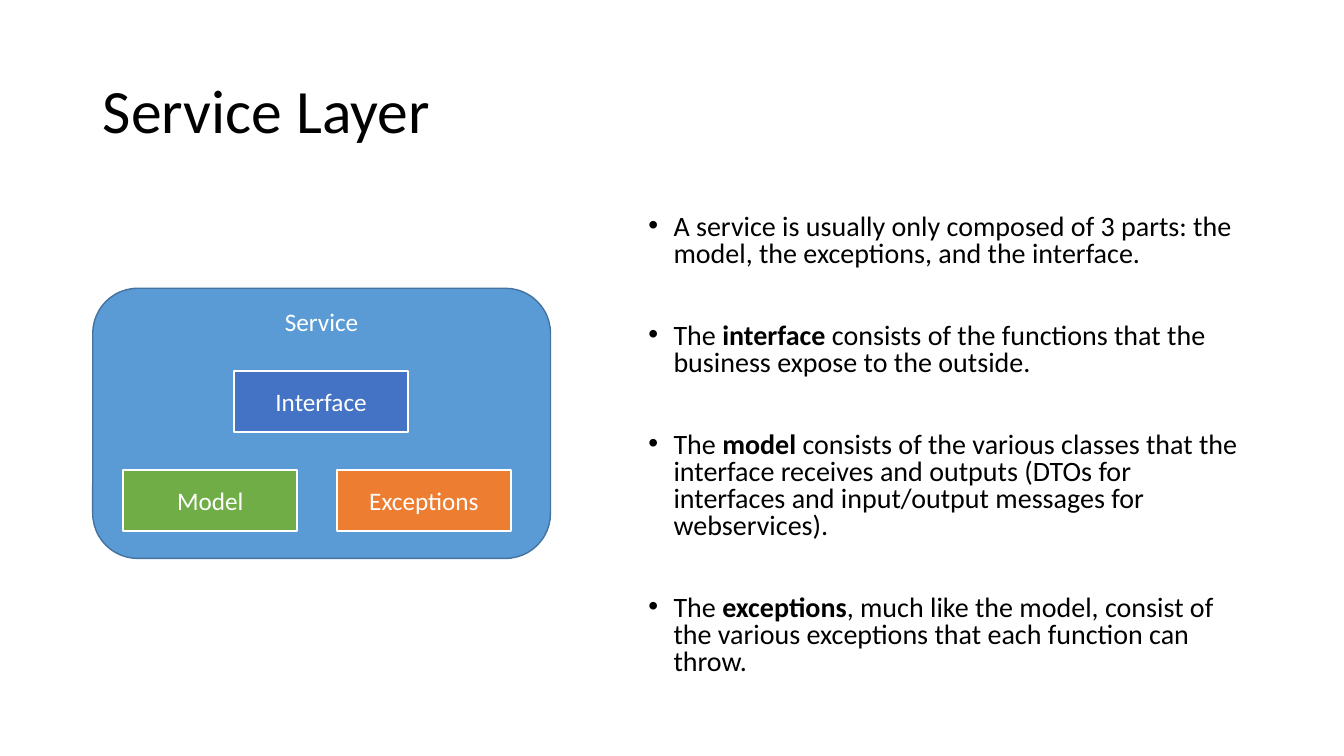
from pptx import Presentation
from pptx.dml.color import RGBColor
from pptx.enum.shapes import MSO_SHAPE
from pptx.enum.text import MSO_ANCHOR, MSO_AUTO_SIZE, PP_ALIGN
from pptx.util import Inches, Pt

RECT, ROUND = MSO_SHAPE.RECTANGLE, MSO_SHAPE.ROUNDED_RECTANGLE
TOP, MIDDLE = MSO_ANCHOR.TOP, MSO_ANCHOR.MIDDLE
LEFT, CENTER = PP_ALIGN.LEFT, PP_ALIGN.CENTER
FONT = "Calibri"
COLORS = {
    "text": "000000", "white": "FFFFFF",
    "service": "5B9BD5", "service_line": "43739E",
    "model": "70AD47", "exceptions": "ED7D31", "interface": "4472C4",
}


def set_font(p, size, color):
    p.font.name, p.font.size = FONT, Pt(size)
    p.font.color.rgb = RGBColor.from_string(COLORS[color])


def place(sp, x, y, w, h):
    sp.left, sp.top, sp.width, sp.height = (Inches(v) for v in (x, y, w, h))


prs = Presentation()
prs.slide_width, prs.slide_height = Inches(13.33), Inches(7.5)
s = prs.slides.add_slide(prs.slide_layouts[1])
margin = 0.92

# Title
title = s.shapes.title
place(title, margin, 0.4, 11.5, 1.45)
tf = title.text_frame
tf.text = "Service Layer"
tf.auto_size, tf.vertical_anchor = MSO_AUTO_SIZE.NONE, MIDDLE
p = tf.paragraphs[0]
p.alignment, p.line_spacing = LEFT, 0.9
set_font(p, 44, "text")

# Bulleted list: plain lead, bold term, plain rest
points = [
    ("A service is usually only composed of 3 parts: the model, "
     "the exceptions, and the interface.", "", ""),
    ("The ", "interface",
     " consists of the functions that the business expose to the outside."),
    ("The ", "model",
     " consists of the various classes that the interface receives and outputs "
     "(DTOs for interfaces and input/output messages for webservices)."),
    ("The ", "exceptions",
     ", much like the model, consist of the various exceptions that each "
     "function can throw."),
]
body = s.placeholders[1]
place(body, 6.33, 2.08, 6.08, 4.76)
tf = body.text_frame
tf.auto_size = MSO_AUTO_SIZE.NONE
for i, (lead, term, rest) in enumerate(points):
    p = tf.add_paragraph() if i else tf.paragraphs[0]
    p.line_spacing = 0.8
    p.space_before = Pt(39.5 if i else 10)
    pPr = p._p.get_or_add_pPr()
    pPr.set("marL", str(Inches(0.25)))
    pPr.set("indent", str(-Inches(0.25)))
    set_font(p, 20, "text")
    p.add_run().text = lead
    if term:
        r = p.add_run()
        r.text, r.font.bold = term, True
        p.add_run().text = rest

# Service diagram: container, then its three parts
box_w, box_h = 1.73, 0.61
upper, lower = 3.68, 4.66
parts = [
    ("Service", ROUND, margin, 2.86, 4.54, 2.68, "service", "service_line", 1, TOP),
    ("Model", RECT, 1.22, lower, box_w, box_h, "model", "white", 1.5, MIDDLE),
    ("Exceptions", RECT, 3.34, lower, box_w, box_h, "exceptions", "white", 1.5, MIDDLE),
    ("Interface", RECT, 2.32, upper, box_w, box_h, "interface", "white", 1.5, MIDDLE),
]
diagram = s.shapes.add_group_shape()
for label, kind, x, y, w, h, fill, line, weight, anchor in parts:
    sp = diagram.shapes.add_shape(kind, *(Inches(v) for v in (x, y, w, h)))
    sp.shadow.inherit = False
    sp.fill.solid()
    sp.fill.fore_color.rgb = RGBColor.from_string(COLORS[fill])
    sp.line.color.rgb = RGBColor.from_string(COLORS[line])
    sp.line.width = Pt(weight)
    tf = sp.text_frame
    tf.text = label
    tf.vertical_anchor = anchor
    p = tf.paragraphs[0]
    p.alignment = CENTER
    set_font(p, 18, "white")

prs.save("out.pptx")
